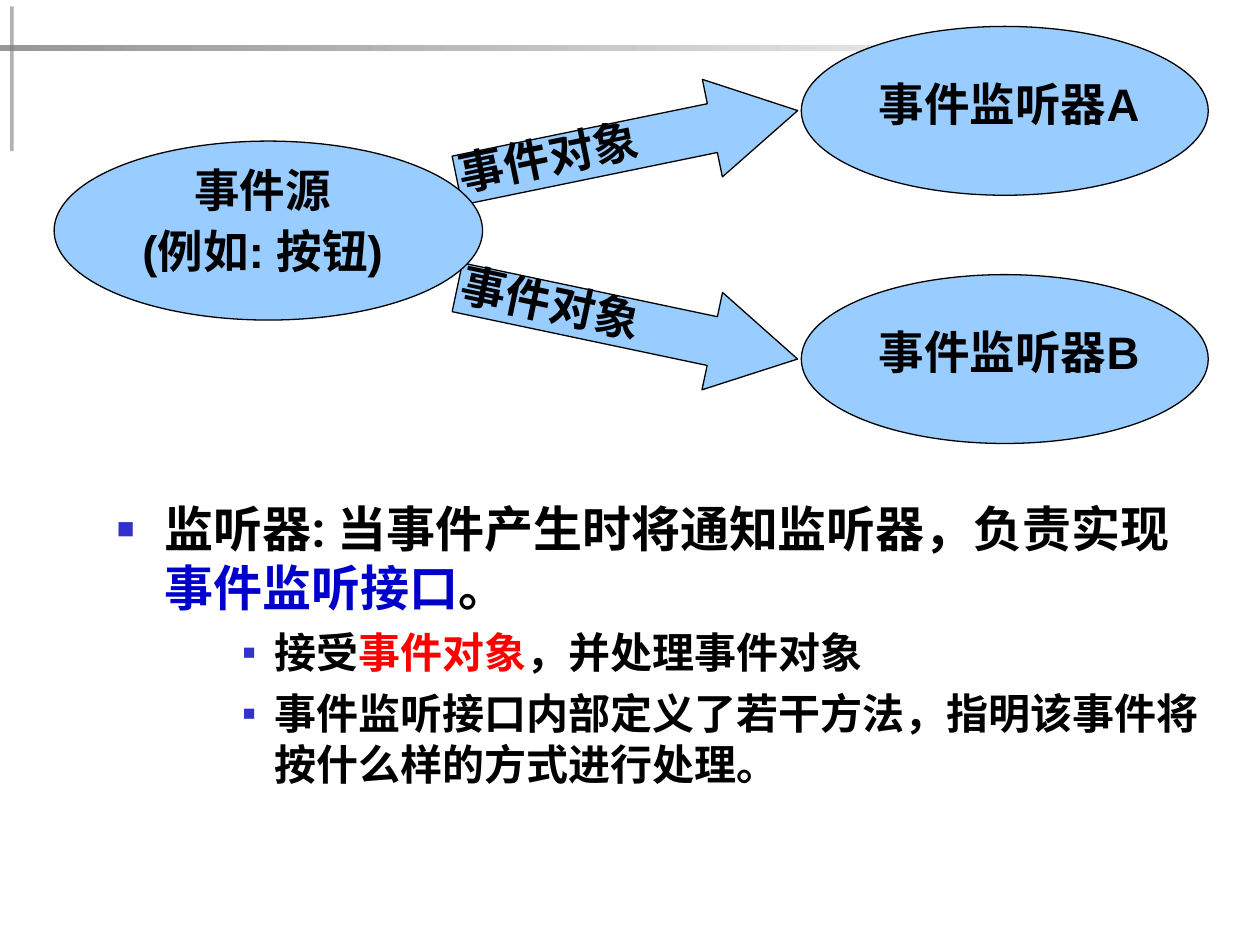
from dataclasses import dataclass
from lxml import etree
from pptx import Presentation
from pptx.dml.color import RGBColor
from pptx.enum.shapes import MSO_SHAPE
from pptx.enum.text import MSO_AUTO_SIZE, PP_ALIGN
from pptx.oxml.ns import qn
from pptx.util import Inches, Pt

RECT, OVAL, ARROW = MSO_SHAPE.RECTANGLE, MSO_SHAPE.OVAL, MSO_SHAPE.RIGHT_ARROW
LEFT, CENTER = PP_ALIGN.LEFT, PP_ALIGN.CENTER
GROW = MSO_AUTO_SIZE.SHAPE_TO_FIT_TEXT

BLACK = RGBColor(0, 0, 0)
WHITE = RGBColor(255, 255, 255)
DARK = RGBColor(0x1C, 0x1C, 0x1C)
GRAY = RGBColor(0x80, 0x80, 0x80)
SKY = RGBColor(0x99, 0xCC, 0xFF)
BLUE = RGBColor(0, 0, 0xCC)
RED = RGBColor(255, 0, 0)
MARK = "3333CC"


@dataclass
class Node:
    kind: int
    box: tuple
    turn: float = 0


@dataclass
class Label:
    lines: list
    box: tuple
    align: int = CENTER
    turn: float = 0
    space: float = 1
    wrap: bool = False


@dataclass
class Item:
    runs: list
    size: int
    level: int
    left: float
    hang: float
    before: int
    mark: int


def add_form(slide, kind, box):
    form = slide.shapes.add_shape(kind, *map(Inches, box))
    form.shadow.inherit = False
    return form


def fade(form, percent: int) -> None:
    """Make the first colour of the shape partly transparent."""
    color = next(form.element.iter(qn("a:srgbClr")))
    etree.SubElement(color, qn("a:alpha"), val=str(percent * 1000))


def add_node(slide, node: Node) -> None:
    form = add_form(slide, node.kind, node.box)
    form.rotation = node.turn
    form.fill.solid()
    form.fill.fore_color.rgb = SKY
    form.line.color.rgb = BLACK
    form.line.width = Pt(0.75)
    if node.kind == ARROW:
        form.adjustments[0] = 0.5
        form.adjustments[1] = 0.875


def add_run(para, text: str, font: str, size: int, color: RGBColor) -> None:
    run = para.add_run()
    run.text = text
    for name, value in {"name": font, "size": Pt(size), "bold": True}.items():
        setattr(run.font, name, value)
    run.font.color.rgb = color


def add_label(slide, label: Label) -> None:
    box = slide.shapes.add_textbox(*map(Inches, label.box))
    box.rotation = label.turn
    frame = box.text_frame
    form = {"margin_left": 0, "margin_right": 0, "margin_top": 0,
            "margin_bottom": 0, "word_wrap": label.wrap, "auto_size": GROW}
    for name, value in form.items():
        setattr(frame, name, value)
    for i, line in enumerate(label.lines):
        para = frame.add_paragraph() if i else frame.paragraphs[0]
        para.alignment = label.align
        para.line_spacing = label.space
        para.space_before = Pt(16.2)
        add_run(para, line, "Arial", 26, BLACK)


def add_item(para, item: Item) -> None:
    para.level = item.level
    para.space_before = Pt(item.before)
    for text, color in item.runs:
        add_run(para, text, "Roboto", item.size, color)
    props = para._p.get_or_add_pPr()
    props.set("marL", str(Inches(item.left)))
    props.set("indent", str(-Inches(item.hang)))
    tint = etree.SubElement(props, qn("a:buClr"))
    etree.SubElement(tint, qn("a:srgbClr"), val=MARK)
    etree.SubElement(props, qn("a:buSzPct"), val=str(item.mark * 1000))
    etree.SubElement(props, qn("a:buFont"), typeface="Arial")
    etree.SubElement(props, qn("a:buChar"), char="■")


def add_rules(slide) -> None:
    post = add_form(slide, RECT, (0.08, 0.05, 0.03, 1.15))
    post.fill.solid()
    post.fill.fore_color.rgb = DARK
    post.line.fill.background()
    fade(post, 34)
    beam = add_form(slide, RECT, (0, 0.36, 9, 0.04))
    beam.fill.gradient()
    beam.fill.gradient_angle = 0
    for stop, color in zip(beam.fill.gradient_stops, (GRAY, WHITE)):
        stop.color.rgb = color
    beam.line.fill.background()
    fade(beam, 81)


MAIN = dict(size=28, level=0, left=0.38, hang=0.38, before=7, mark=60)
SUB = dict(size=24, level=2, left=1.25, hang=0.25, before=6, mark=50)
ITEMS = [
    Item([("监听器: 当事件产生时将通知监听器，负责实现", BLACK),
          ("事件监听接口", BLUE), ("。", BLACK)], **MAIN),
    Item([("接受", BLACK), ("事件对象", RED), ("，并处理事件对象", BLACK)], **SUB),
    Item([("事件监听接口内部定义了若干方法，指明该事件将按什么样的方式进行处理。",
           BLACK)], **SUB),
]

# Back to front: listeners, event arrows, source
PARTS = [
    Node(OVAL, (6.36, 2.18, 3.23, 1.34)),
    Node(OVAL, (6.36, 0.21, 3.23, 1.34)),
    Label(["事件监听器A"], (6.93, 0.6, 2.16, 0.43)),
    Label(["事件监听器B"], (6.93, 2.57, 2.16, 0.43)),
    Node(ARROW, (3.6, 0.76, 2.76, 0.79), 348.4),
    Label(["事件对象"], (3.63, 1.02, 1.45, 0.43), LEFT, 348.4),
    Node(ARROW, (3.6, 2.17, 2.76, 0.79), 11.9),
    Label(["事件对象"], (3.65, 2.18, 1.45, 0.43), LEFT, 11.9),
    Node(OVAL, (0.43, 1.12, 3.4, 1.42)),
    Label(["事件源", "(例如: 按钮)"], (0.57, 1.44, 3.03, 0.75),
          space=0.6, wrap=True),
]


def main() -> None:
    deck = Presentation()
    deck.slide_width, deck.slide_height = Inches(10), Inches(7.5)
    slide = deck.slides.add_slide(deck.slide_layouts[6])
    add_rules(slide)

    # Explanation
    frame = slide.shapes.add_textbox(
        *map(Inches, (0.83, 3.91, 8.82, 2.8))).text_frame
    frame.word_wrap = True
    for i, item in enumerate(ITEMS):
        add_item(frame.add_paragraph() if i else frame.paragraphs[0], item)

    # Event diagram
    for part in PARTS:
        draw = add_node if isinstance(part, Node) else add_label
        draw(slide, part)
    deck.save("out.pptx")


if __name__ == "__main__":
    main()
